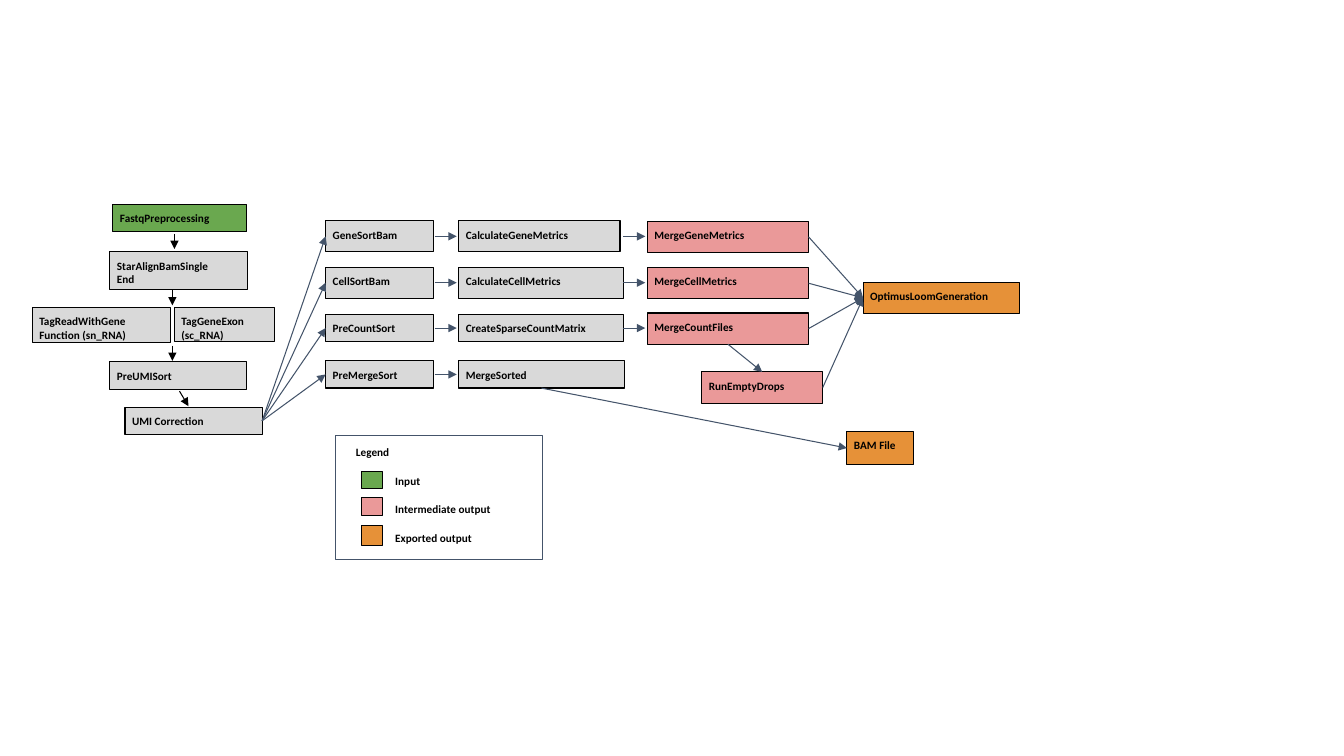
import pptx
import pptx.util
import pptx.dml.color
import pptx.enum.shapes
import pptx.enum.text
import pptx.oxml.ns
import lxml.etree

COLORS = {
    "input": "6AA84F",
    "step": "D9D9D9",
    "intermediate": "EA9999",
    "exported": "E69138",
    "black": "000000",
    "slate": "44546A",
}
LEFT, TOP, RIGHT, BOTTOM = 1, 0, 3, 2

deck = pptx.Presentation()
deck.slide_width = pptx.util.Inches(13.33)
deck.slide_height = pptx.util.Inches(7.5)
page = deck.slides.add_slide(deck.slide_layouts[6])


def add_box(text, left, top, width, height, fill=None, line=None, size=8):
    frame = [pptx.util.Inches(length) for length in (left, top, width, height)]
    if fill or line:
        box = page.shapes.add_shape(pptx.enum.shapes.MSO_SHAPE.RECTANGLE, *frame)
        box.shadow.inherit = False
        box.line.color.rgb = pptx.dml.color.RGBColor.from_string(COLORS[line or "black"])
        box.line.width = pptx.util.Pt(0.75)
        if fill:
            box.fill.solid()
            box.fill.fore_color.rgb = pptx.dml.color.RGBColor.from_string(COLORS[fill])
        else:
            box.fill.background()
    else:
        box = page.shapes.add_textbox(*frame)
    if not text:
        return box
    body = box.text_frame
    body.word_wrap = True
    body.vertical_anchor = pptx.enum.text.MSO_ANCHOR.TOP
    body.margin_left = body.margin_right = pptx.util.Inches(0.07)
    body.margin_top = body.margin_bottom = pptx.util.Inches(0.07)
    body.text = text
    for para in body.paragraphs:
        para.alignment = pptx.enum.text.PP_ALIGN.LEFT
        for span in para.runs:
            span.font.name = "Calibri"
            span.font.size = pptx.util.Pt(size)
            span.font.bold = True
            span.font.color.rgb = pptx.dml.color.RGBColor.from_string(COLORS["black"])
    return box


def add_arrow(start=(0, 0), end=(0, 0), color="slate", source=None, target=None):
    points = [pptx.util.Inches(length) for length in (*start, *end)]
    arrow = page.shapes.add_connector(pptx.enum.shapes.MSO_CONNECTOR.STRAIGHT, *points)
    if source:
        arrow.begin_connect(*source)
        arrow.end_connect(*target)
    arrow.line.color.rgb = pptx.dml.color.RGBColor.from_string(COLORS[color])
    arrow.line.width = pptx.util.Pt(0.75)
    stroke = arrow.line._get_or_add_ln()
    lxml.etree.SubElement(stroke, pptx.oxml.ns.qn("a:tailEnd"), type="triangle")
    lxml.etree.SubElement(arrow._element.spPr, pptx.oxml.ns.qn("a:effectLst"))


preparation = [
    ("FastqPreprocessing", 1.12, 2.03, 1.33, 0.27, "input"),
    ("StarAlignBamSingle\nEnd", 1.09, 2.5, 1.37, 0.37, "step"),
    ("TagReadWithGene\nFunction (sn_RNA)", 0.32, 3.05, 1.37, 0.35, "step"),
    ("TagGeneExon\n(sc_RNA)", 1.73, 3.05, 0.99, 0.34, "step"),
    ("PreUMISort", 1.09, 3.59, 1.36, 0.27, "step"),
    ("UMI Correction", 1.24, 4.04, 1.36, 0.27, "step"),
]
for entry in preparation:
    umi_correction = add_box(*entry)

for left, top, shift in [(1.73, 2.32, 0), (1.71, 2.88, 0), (1.71, 3.43, 0), (1.78, 3.88, 0.09)]:
    add_arrow((left, top), (left + shift, top + 0.15), "black")

loom = add_box("OptimusLoomGeneration", 8.56, 2.8, 1.55, 0.31, "exported")
bam_file = add_box("BAM File", 8.4, 4.28, 0.66, 0.33, "exported")
empty_drops = add_box("RunEmptyDrops", 6.96, 3.69, 1.2, 0.31, "intermediate")

sort_column, compute_column, merge_column = 3.23, 4.55, 6.42
branches = [
    (2.19, 0.31, "GeneSortBam", "CalculateGeneMetrics", 1.6, "MergeGeneMetrics"),
    (2.65, 0.31, "CellSortBam", "CalculateCellMetrics", 1.63, "MergeCellMetrics"),
    (3.12, 0.27, "PreCountSort", "CreateSparseCountMatrix", 1.63, "MergeCountFiles"),
    (3.58, 0.27, "PreMergeSort", "MergeSorted", 1.64, None),
]
for top, height, sorting, computing, width, merging in branches:
    middle = top + height / 2
    sort_box = add_box(sorting, sort_column, top, 1.07, height, "step")
    compute_box = add_box(computing, compute_column, top, width, height, "step")
    add_arrow(source=(umi_correction, RIGHT), target=(sort_box, LEFT))
    add_arrow((4.31, middle), (4.53, middle))
    if merging:
        merge_box = add_box(merging, merge_column, middle - 0.15, 1.6, 0.31, "intermediate")
        add_arrow((6.18, middle), (6.4, middle))
        add_arrow(source=(merge_box, RIGHT), target=(loom, LEFT))

add_arrow(source=(merge_box, BOTTOM), target=(empty_drops, TOP))
add_arrow(source=(empty_drops, RIGHT), target=(loom, LEFT))
add_arrow(source=(compute_box, BOTTOM), target=(bam_file, LEFT))

add_box("", 3.33, 4.32, 2.05, 1.23, line="slate")
add_box("Legend", 3.46, 4.35, 0.68, 0.25)
legend = [
    ("Input", "input", 4.64, 4.68, 0.17),
    ("Intermediate output", "intermediate", 4.92, 4.94, 0.17),
    ("Exported output", "exported", 5.2, 5.21, 0.2),
]
for label, fill, label_top, swatch_top, swatch_height in legend:
    add_box(label, 3.85, label_top, 1.39, 0.25)
    add_box("", 3.59, swatch_top, 0.2, swatch_height, fill)

deck.save("out.pptx")
